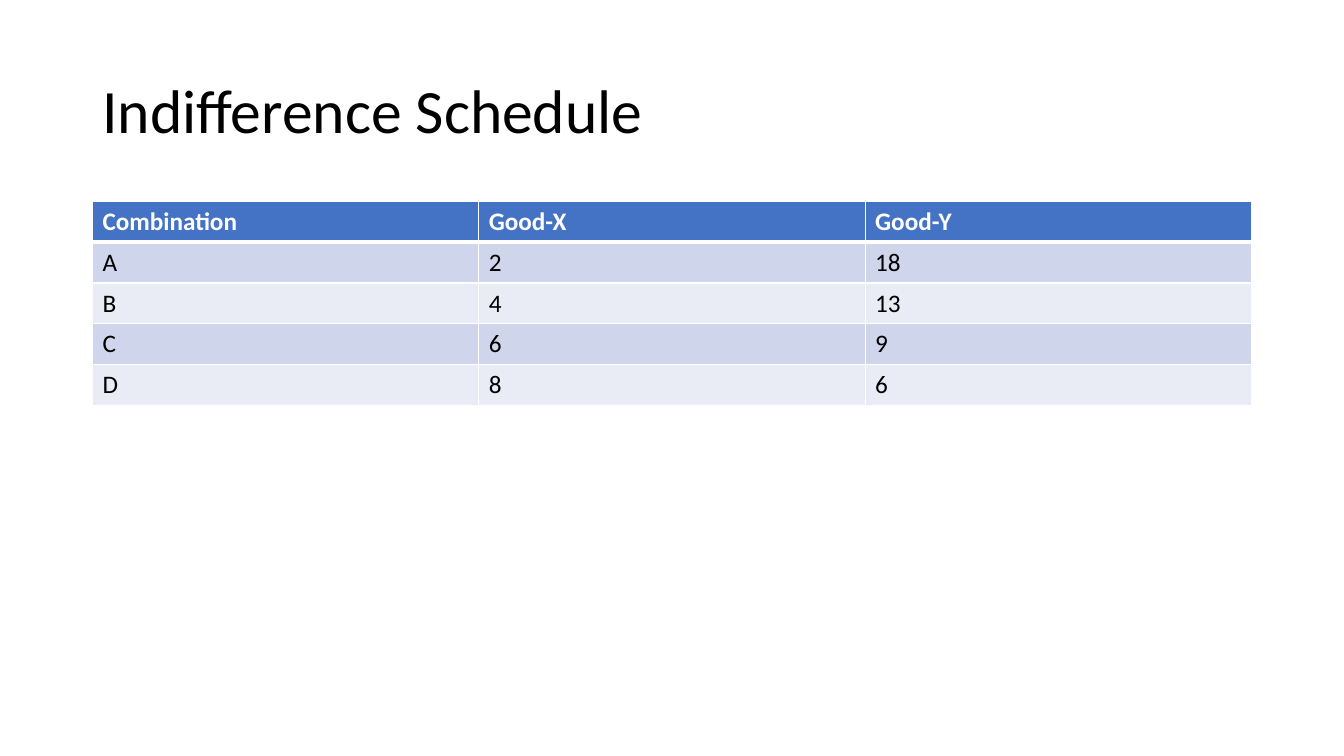
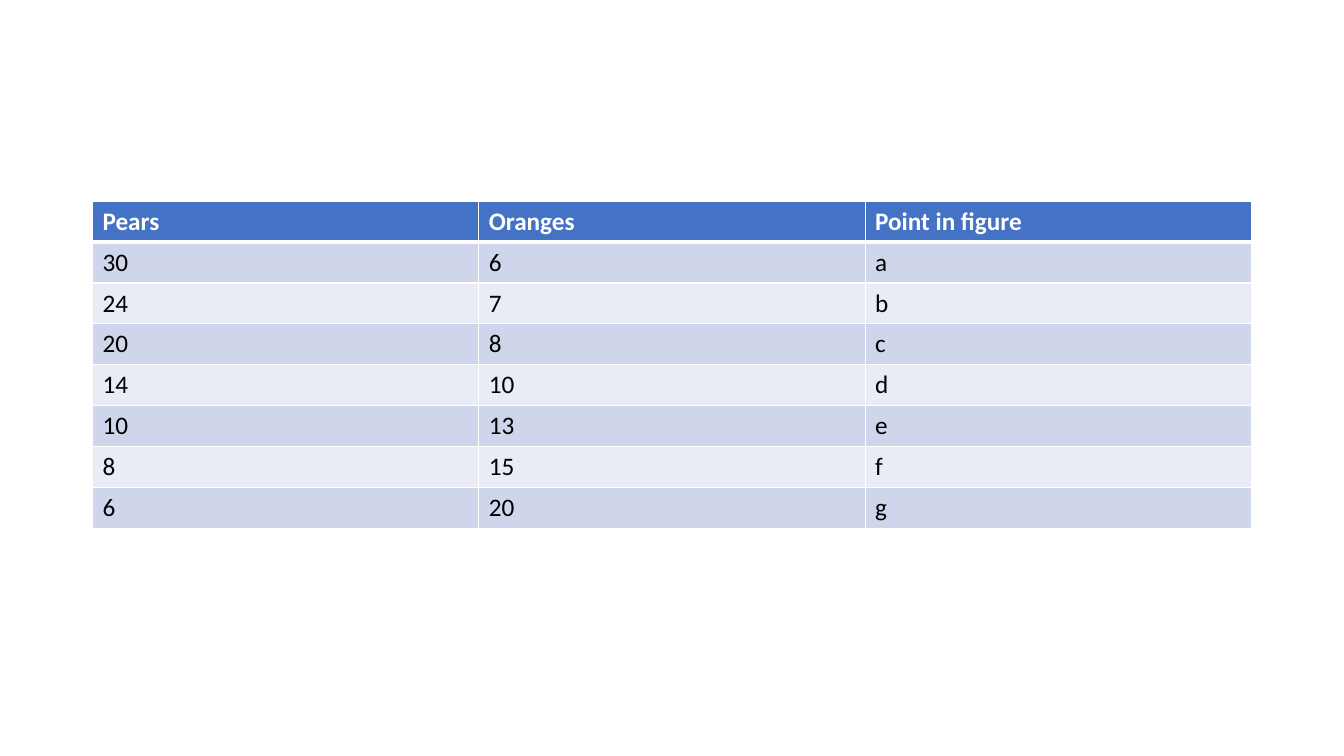
from dataclasses import dataclass

from lxml.etree import SubElement
from pptx import Presentation
from pptx.dml.color import RGBColor
from pptx.enum.text import MSO_ANCHOR
from pptx.oxml.ns import qn
from pptx.slide import Slide
from pptx.table import _Cell
from pptx.text.text import _Paragraph
from pptx.util import Cm, Pt

WHITE, BLACK, BLUE = "FFFFFF", "000000", "4472C4"
BANDS = ("CFD5EA", "E9EBF5")
LEFT, WIDTH = Cm(2.33), Cm(29.21)
TOP, ROW = Cm(5.07), Cm(1.03)
TITLE = {"name": "Calibri", "size": Pt(44), "bold": False}
HEAD = {"name": "Calibri", "size": Pt(18), "bold": True}
BODY = HEAD | {"bold": False}
THIN, THICK = Pt(1), Pt(3)


@dataclass(frozen=True)
class Page:
    title: str
    heads: tuple[str, ...]
    rows: tuple[tuple[str, ...], ...]


PAGES = (
    Page(
        "Indifference Schedule",
        ("Combination", "Good-X", "Good-Y"),
        (("A", "2", "18"), ("B", "4", "13"), ("C", "6", "9"), ("D", "8", "6")),
    ),
    Page(
        "",
        ("Pears", "Oranges", "Point in figure"),
        (
            ("30", "6", "a"),
            ("24", "7", "b"),
            ("20", "8", "c"),
            ("14", "10", "d"),
            ("10", "13", "e"),
            ("8", "15", "f"),
            ("6", "20", "g"),
        ),
    ),
)


def paint(target, color: str) -> None:
    target.solid()
    target.fore_color.rgb = RGBColor.from_string(color)


def write(par: _Paragraph, text: str, style: dict, color: str) -> None:
    run = par.add_run()
    run.text = text
    for key, value in style.items():
        setattr(run.font, key, value)
    paint(run.font.fill, color)


def edge(cell: _Cell, row: int) -> None:
    props = cell._tc.get_or_add_tcPr()
    widths = {
        "a:lnL": THIN,
        "a:lnR": THIN,
        "a:lnT": THICK if row == 1 else THIN,
        "a:lnB": THICK if row == 0 else THIN,
    }
    for tag, width in widths.items():
        line = SubElement(props, qn(tag), w=str(width))
        fill = SubElement(line, qn("a:solidFill"))
        SubElement(fill, qn("a:srgbClr"), val=WHITE)


def add_title(slide: Slide, text: str) -> None:
    frame = slide.shapes.add_textbox(LEFT, Cm(1.01), WIDTH, Cm(3.68)).text_frame
    frame.word_wrap = True
    frame.vertical_anchor = MSO_ANCHOR.MIDDLE
    par = frame.paragraphs[0]
    par.line_spacing = 0.9
    write(par, text, TITLE, BLACK)


def add_grid(slide: Slide, page: Page) -> None:
    lines = (page.heads, *page.rows)
    size = len(lines), len(page.heads)
    table = slide.shapes.add_table(*size, LEFT, TOP, WIDTH, ROW * len(lines)).table
    for r, line in enumerate(lines):
        style, ink, fill = (BODY, BLACK, BANDS[(r - 1) % 2]) if r else (HEAD, WHITE, BLUE)
        for c, text in enumerate(line):
            cell = table.cell(r, c)
            edge(cell, r)
            paint(cell.fill, fill)
            write(cell.text_frame.paragraphs[0], text, style, ink)


def main() -> None:
    deck = Presentation()
    deck.slide_width, deck.slide_height = Cm(33.87), Cm(19.05)
    for page in PAGES:
        slide = deck.slides.add_slide(deck.slide_layouts[6])
        paint(slide.background.fill, WHITE)
        if page.title:
            add_title(slide, page.title)
        add_grid(slide, page)
    deck.save("out.pptx")


if __name__ == "__main__":
    main()
